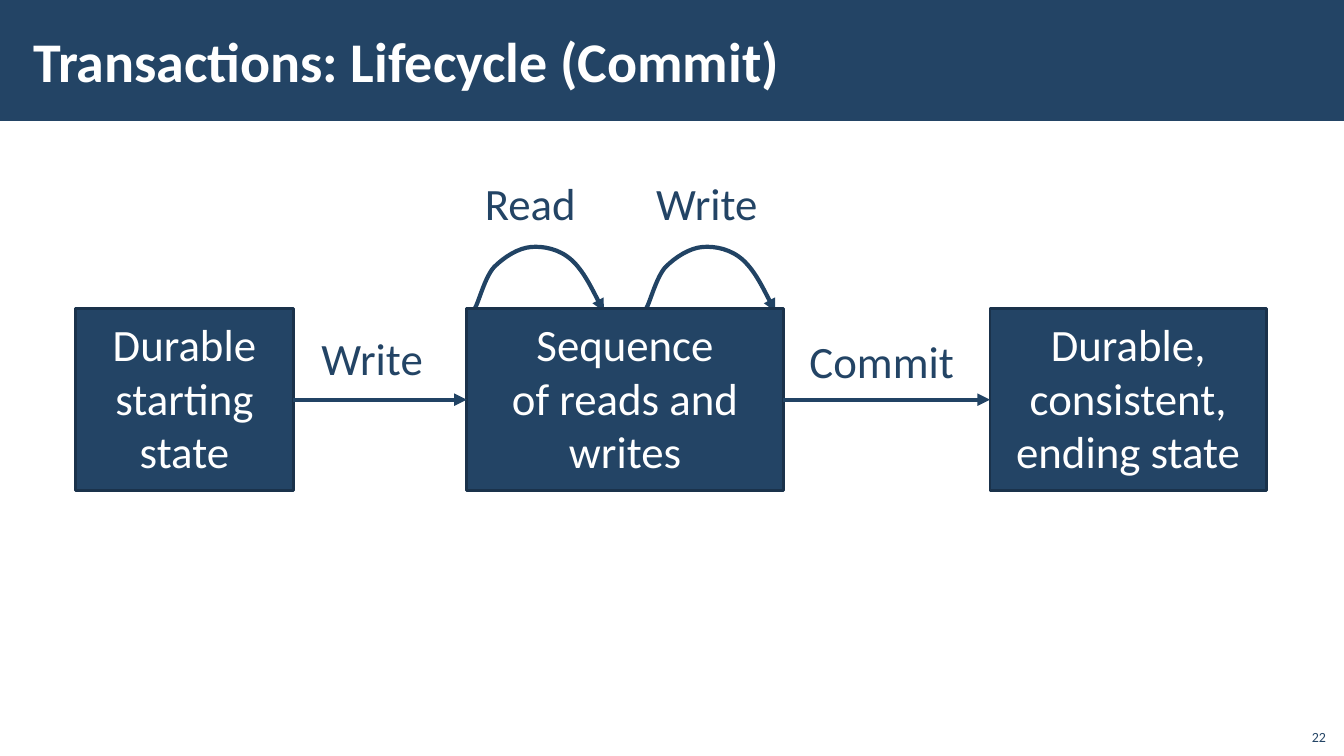
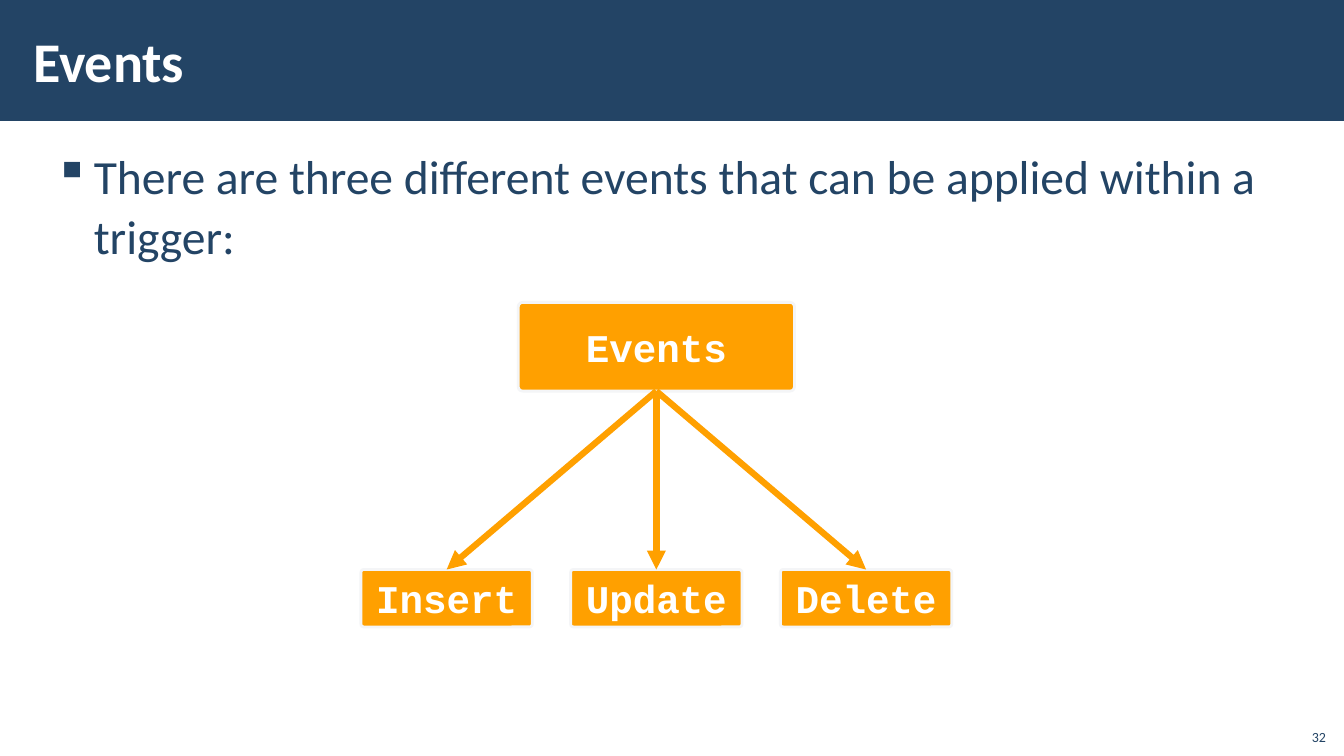
"""Build two database lecture slides: a transaction lifecycle and trigger events."""
from dataclasses import dataclass

from lxml.etree import SubElement
from pptx import Presentation
from pptx.dml.color import RGBColor
from pptx.enum.shapes import MSO_CONNECTOR, MSO_SHAPE
from pptx.enum.text import MSO_ANCHOR, PP_ALIGN
from pptx.oxml.ns import qn
from pptx.util import Pt


@dataclass(frozen=True)
class Theme:
    navy: RGBColor = RGBColor.from_string("234465")
    navy_line: RGBColor = RGBColor.from_string("214364")
    navy_edge: RGBColor = RGBColor.from_string("1A324B")
    orange: RGBColor = RGBColor.from_string("FFA000")
    pale_edge: RGBColor = RGBColor.from_string("F4F5F7")
    white: RGBColor = RGBColor.from_string("FFFFFF")
    sans: str = "Calibri"
    mono: str = "Courier New"
    title_size: int = 40
    body_size: int = 34
    state_size: int = 32
    event_size: int = 28
    number_size: int = 10


theme = Theme()
px = 9144
title_font = {"name": theme.sans, "size": Pt(theme.title_size), "bold": True}
body_font = {"name": theme.sans, "size": Pt(theme.body_size)}
state_font = {"name": theme.sans, "size": Pt(theme.state_size)}
event_font = {"name": theme.mono, "size": Pt(theme.event_size), "bold": True}
number_font = {"name": theme.sans, "size": Pt(theme.number_size)}


def write_text(box, text, font, color, align=PP_ALIGN.LEFT, margins=(10, 5, 10, 5), **frame_format):
    frame = box.text_frame
    sides = ("margin_left", "margin_top", "margin_right", "margin_bottom")
    values = {side: margin * px for side, margin in zip(sides, margins)}
    values |= {"word_wrap": True, "vertical_anchor": MSO_ANCHOR.TOP} | frame_format
    for name, value in values.items():
        setattr(frame, name, value)
    frame.text = text
    for para in frame.paragraphs:
        para.alignment = align
        for span in para.runs:
            for name, value in font.items():
                setattr(span.font, name, value)
            span.font.color.rgb = color
    return frame.paragraphs[0]


def style_arrow(arrow, color, width):
    arrow.line.color.rgb = color
    arrow.line.width = Pt(width)
    properties = arrow.element.spPr
    SubElement(properties.find(qn("a:ln")), qn("a:tailEnd"), type="triangle")
    if properties.find(qn("a:effectLst")) is None:
        SubElement(properties, qn("a:effectLst"))


deck = Presentation()
deck.slide_width, deck.slide_height = 1333 * px, 750 * px
blank_layout = deck.slide_layouts[6]

pages = []
for title, number in (("Transactions: Lifecycle (Commit)", "22"), ("Events", "32")):
    page = deck.slides.add_slide(blank_layout)
    band = page.shapes.add_shape(MSO_SHAPE.RECTANGLE, 0, 0, deck.slide_width, 120 * px)
    band.shadow.inherit = False
    band.fill.solid()
    band.fill.fore_color.rgb = theme.navy
    band.line.fill.background()
    title_box = page.shapes.add_textbox(21 * px, 11 * px, 1063 * px, 97 * px)
    write_text(title_box, title, title_font, theme.white,
               margins=(12, 4, 12, 4), vertical_anchor=MSO_ANCHOR.MIDDLE)
    number_box = page.shapes.add_textbox(1285 * px, 712 * px, 40 * px, 32 * px)
    write_text(number_box, number, number_font, theme.navy, PP_ALIGN.RIGHT,
               vertical_anchor=MSO_ANCHOR.BOTTOM)
    pages.append(page)
lifecycle_page, events_page = pages

loop_start = (0, 306)
loop_curve = ((4, 299), (10, 275), (19, 265), (29, 255), (43, 246), (56, 245),
              (68, 244), (84, 247), (96, 258), (108, 269), (122, 298), (128, 309))
for left in (471, 641):
    builder = lifecycle_page.shapes.build_freeform(left + loop_start[0], loop_start[1], scale=px)
    builder.add_line_segments([(left + x, y) for x, y in loop_curve], close=False)
    loop = builder.convert_to_shape()
    loop.shadow.inherit = False
    loop.fill.background()
    segments = list(loop.element.iter(qn("a:lnTo")))
    for first in range(0, len(segments), 3):
        outline = segments[first].getparent()
        curve = SubElement(outline, qn("a:cubicBezTo"))
        for segment in segments[first:first + 3]:
            curve.append(segment[0])
            outline.remove(segment)
    style_arrow(loop, theme.navy_line, 3)

for label, left, top, width in (("Read", 471, 169, 111), ("Write", 641, 169, 122),
                                ("Write", 309, 323, 122), ("Commit", 793, 326, 165)):
    label_box = lifecycle_page.shapes.add_textbox(left * px, top * px, width * px, 64 * px)
    write_text(label_box, label, state_font, theme.navy, word_wrap=False)

states = []
for text, left, width in (("Durable starting state", 75, 216),
                          ("Sequence\vof reads and writes", 463, 314),
                          ("Durable,\nconsistent,\nending state", 982, 274)):
    state = lifecycle_page.shapes.add_shape(
        MSO_SHAPE.RECTANGLE, left * px, 306 * px, width * px, 181 * px)
    state.shadow.inherit = False
    state.fill.solid()
    state.fill.fore_color.rgb = theme.navy
    state.line.color.rgb = theme.navy_edge
    state.line.width = Pt(2)
    write_text(state, text, state_font, theme.white, PP_ALIGN.CENTER, margins=(10, 8, 10, 12))
    states.append(state)

body_box = events_page.shapes.add_textbox(42 * px, 139 * px, 1241 * px, 578 * px)
bullet = write_text(
    body_box, "There are three different events that can be applied within a trigger:",
    body_font, theme.navy, margins=(12, 4, 12, 4))
for name, value in {"line_spacing": 1.05, "space_before": Pt(6), "space_after": Pt(6)}.items():
    setattr(bullet, name, value)
bullet_format = bullet._p.get_or_add_pPr()
bullet_format.set("marL", str(39 * px))
bullet_format.set("indent", str(-39 * px))
SubElement(bullet_format, qn("a:buChar"), char="▪")

event_rows = [("Events", 514, 300, 274, 88)]
event_rows += [(text, 358 + 208 * column, 565, 170, 57)
               for column, text in enumerate(("Insert", "Update", "Delete"))]
events = []
for text, left, top, width, height in event_rows:
    event = events_page.shapes.add_shape(
        MSO_SHAPE.ROUNDED_RECTANGLE, left * px, top * px, width * px, height * px)
    event.adjustments[0] = 0.05
    event.shadow.inherit = False
    event.fill.solid()
    event.fill.fore_color.rgb = theme.orange
    event.line.color.rgb = theme.pale_edge
    event.line.width = Pt(2)
    write_text(event, text, event_font, theme.white, PP_ALIGN.CENTER,
               vertical_anchor=MSO_ANCHOR.MIDDLE)
    events.append(event)

top_site, left_site, bottom_site, right_site = range(4)
links = [(lifecycle_page, source, right_site, target, left_site, theme.navy_line, 3)
         for source, target in zip(states, states[1:])]
links += [(events_page, events[0], bottom_site, event, top_site, theme.orange, 4.5)
          for event in events[1:]]
for page, source, source_site, target, target_site, color, width in links:
    arrow = page.shapes.add_connector(MSO_CONNECTOR.STRAIGHT, 0, 0, 0, 0)
    arrow.begin_connect(source, source_site)
    arrow.end_connect(target, target_site)
    style_arrow(arrow, color, width)

deck.save("out.pptx")
